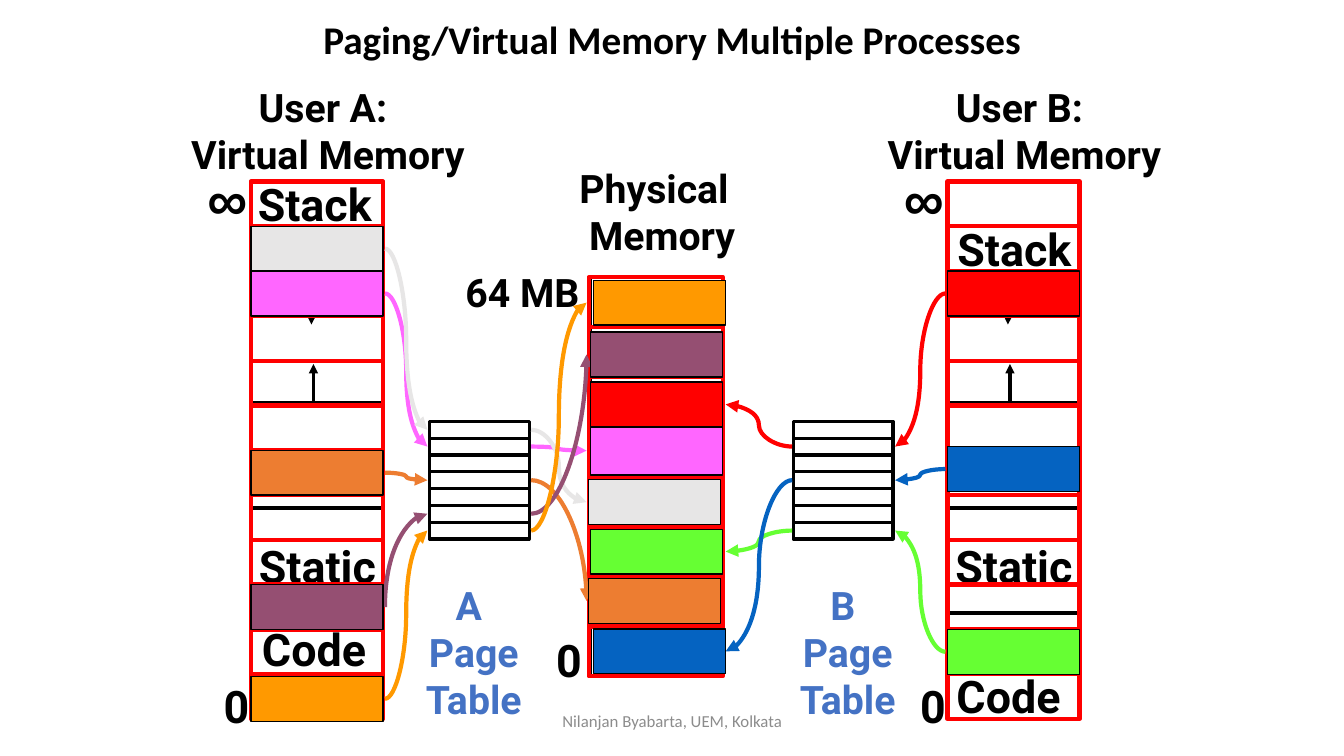
from lxml import etree
from pptx import Presentation
from pptx.dml.color import RGBColor
from pptx.enum.shapes import MSO_CONNECTOR, MSO_SHAPE
from pptx.enum.text import MSO_ANCHOR, MSO_AUTO_SIZE, PP_ALIGN
from pptx.oxml.ns import qn
from pptx.util import Pt

RECTANGLE = MSO_SHAPE.RECTANGLE
STRAIGHT, CURVE = MSO_CONNECTOR.STRAIGHT, MSO_CONNECTOR.CURVE
LEFT, CENTER = PP_ALIGN.LEFT, PP_ALIGN.CENTER
TOP, MIDDLE = MSO_ANCHOR.TOP, MSO_ANCHOR.MIDDLE
FIT_SHAPE = MSO_AUTO_SIZE.SHAPE_TO_FIT_TEXT

BLACK, RED, LABEL_BLUE, GREY = "000000", "FF0000", "4472C4", "8C8C8C"

# Virtual memory columns
USER_A_X, USER_B_X = 179.3, 676.8
VIRTUAL_TOP, SLOT_W, SLOT_H, SLOT_COUNT = 129.6, 94.3, 32, 12
SEGMENT_H = 75.6
SEGMENT_TOPS = [VIRTUAL_TOP, 287.3, 362.3, 437.6]

# Page tables
TABLE_A_X, TABLE_B_X = 306.7, 566.6
TABLE_TOP, ENTRY_W, ENTRY_H, ENTRY_COUNT = 301, 71.3, 12, 7

# Physical memory
PHYSICAL_X, PHYSICAL_TOP = 420.5, 198
FRAME_W, FRAME_H, FRAME_COUNT = 95.8, 35.64, 8

# Ends of the mapping arrows: page, table (in), table (out), frame
PATH_A = (275, 305.3, 379.4, 419)
PATH_B = (675.4, 639.4, 565.9, 518.4)

# Colour, virtual slot, table entry, frame left, frame top, frame height, bends
PAGES_A = [
    ("FF66FF", 2, 1, 421.9, 304.6, 34.6, ""),
    ("E7E6E6", 1, 0, 420.5, 342.7, SLOT_H, ""),
    ("ED7D31", 6, 3, 420.5, 413.3, SLOT_H, "out"),
    ("954F72", 9, 5, 421.9, 237.2, SLOT_H, "in out"),
    ("FF9900", 11.05, 6, 424.1, 200.2, SLOT_H, ""),
]
PAGES_B = [
    (RED, 2, 1, 421.9, 272.9, SLOT_H, ""),
    ("66FF33", 10, 6, 421.9, 378, SLOT_H, ""),
    ("0563C1", 5.92, 3, 424.1, 449.3, SLOT_H, ""),
]


def color(hex_code):
    return RGBColor.from_string(hex_code)


class MemorySlide:
    def __init__(self, slide):
        self.shapes = slide.shapes

    def text(self, content, x, y, w, h, *, size=28, font="Roboto", ink=BLACK, bold=True,
             align=LEFT, anchor=TOP, wrap=False, spacing=None):
        """Each item of content is a paragraph; a newline in it is a line break."""
        frame = self.shapes.add_textbox(Pt(x), Pt(y), Pt(w), Pt(h)).text_frame
        frame.word_wrap = wrap
        frame.vertical_anchor = anchor
        if not wrap:
            frame.auto_size = FIT_SHAPE
        for index, words in enumerate(content):
            paragraph = frame.add_paragraph() if index else frame.paragraphs[0]
            paragraph.alignment = align
            paragraph.line_spacing = spacing
            for number, line in enumerate(words.split("\n")):
                if number:
                    paragraph.add_line_break()
                run = paragraph.add_run()
                run.text = line
                run.font.name, run.font.size, run.font.bold = font, Pt(size), bold
                run.font.color.rgb = color(ink)

    def box(self, x, y, w, h, fill=None, line=BLACK, weight=2.25):
        rect = self.shapes.add_shape(RECTANGLE, Pt(x), Pt(y), Pt(w), Pt(h))
        rect.shadow.inherit = False
        if fill:
            rect.fill.solid()
            rect.fill.fore_color.rgb = color(fill)
        else:
            rect.fill.background()
        rect.line.color.rgb = color(line)
        rect.line.width = Pt(weight)

    def stack(self, x, top, w, h, count, **style):
        for index in range(count):
            self.box(x, top + index * h, w, h, **style)

    def arrow(self, x1, y1, x2, y2, ink=BLACK, weight=2.25, kind=STRAIGHT,
              single_bend=False, end="tailEnd"):
        link = self.shapes.add_connector(kind, Pt(x1), Pt(y1), Pt(x2), Pt(y2))
        link.line.color.rgb = color(ink)
        link.line.width = Pt(weight)
        properties = link._element.spPr
        if single_bend:
            properties.find(qn("a:prstGeom")).set("prst", "curvedConnector2")
        etree.SubElement(properties.find(qn("a:ln")), qn("a:" + end), type="triangle")
        etree.SubElement(properties, qn("a:effectLst"))

    def virtual_memory(self, user, x, stack_x, stack_y, code_x, code_y):
        self.text([f"User {user}: \nVirtual Memory"], x - 53.5, 56.2, 216.7, 74.2, align=CENTER)
        self.text(["∞"], x - 38.2, 113.8, 43.2, 55.4, size=40, font="Arial")
        self.text(["0"], x - 26.6, 481, 32.4, 45.4, size=32)
        for name, label_x, y, w in (("Code", code_x, code_y, 94.3),
                                    ("Static", x - 1.4, 381.6, 101.5),
                                    ("Stack", stack_x, stack_y, 100)):
            self.text([name], label_x, y, w, 45.4, size=32)
        for top in SEGMENT_TOPS:
            self.box(x, top, SLOT_W, SEGMENT_H)
        self.arrow(x + 44.6, 287.3, x + 44.6, 260)
        self.arrow(x + 43.2, 205.2, x + 43.2, 231.8)
        self.stack(x, VIRTUAL_TOP, SLOT_W, SLOT_H, SLOT_COUNT, line=RED, weight=3)

    def page_table(self, user, x, label_x):
        self.stack(x, TABLE_TOP, ENTRY_W, ENTRY_H, ENTRY_COUNT)
        self.text([user + " ", "Page", "Table"], label_x, 411.8, 87.8, 108,
                  ink=LABEL_BLUE, align=CENTER)

    def mapped_page(self, virtual_x, path, page):
        """Draw a page in virtual and physical memory, with the arrows between."""
        ink, slot, entry, frame_x, frame_y, frame_h, bends = page
        page_x, table_in, table_out, physical_x = path
        page_y = VIRTUAL_TOP + slot * SLOT_H
        page_mid = page_y + SLOT_H / 2
        entry_mid = TABLE_TOP + (entry + 0.5) * ENTRY_H
        style = {"ink": ink, "weight": 3, "kind": CURVE}
        if "in" in bends:
            self.arrow(table_in, entry_mid, page_x, page_mid, single_bend=True,
                       end="headEnd", **style)
        else:
            self.arrow(page_x, page_mid, table_in, entry_mid, **style)
        self.arrow(table_out, entry_mid, physical_x, frame_y + frame_h / 2,
                   single_bend="out" in bends, **style)
        self.box(virtual_x, page_y, SLOT_W, SLOT_H, fill=ink, weight=1)
        self.box(frame_x, frame_y, SLOT_W, frame_h, fill=ink, weight=1)


def main():
    deck = Presentation()
    deck.slide_width, deck.slide_height = Pt(960), Pt(540)
    memory = MemorySlide(deck.slides.add_slide(deck.slide_layouts[6]))

    memory.text(["Paging/Virtual Memory Multiple Processes"], 223.9, 10.8, 655.2, 37.4,
                font="Calibri", anchor=MIDDLE, wrap=True, spacing=0.9)
    memory.box(421.9, PHYSICAL_TOP, SLOT_W, FRAME_COUNT * FRAME_H)
    memory.virtual_memory("B", USER_B_X, 676.8, 154.8, 676.1, 473.8)
    memory.virtual_memory("A", USER_A_X, 177.1, 122.4, 180, 440.6)
    memory.page_table("A", TABLE_A_X, 294.5)
    memory.page_table("B", TABLE_B_X, 561.6)
    memory.stack(PHYSICAL_X, PHYSICAL_TOP, FRAME_W, FRAME_H, FRAME_COUNT, line=RED, weight=3)

    for page in PAGES_A:
        memory.mapped_page(USER_A_X, PATH_A, page)
    memory.text(["0"], 390.2, 448.6, 32.4, 45.4, size=32)
    memory.text(["Physical", " Memory"], 406.8, 113.8, 131, 74.9)
    memory.text(["64 MB"], 325.4, 187.9, 97.9, 41)
    for page in PAGES_B:
        memory.mapped_page(USER_B_X, PATH_B, page)

    memory.text(["Nilanjan Byabarta, UEM, Kolkata"], 318.2, 500.4, 324, 28.8, size=12,
                font="Calibri", ink=GREY, bold=False, align=CENTER, anchor=MIDDLE, wrap=True)
    deck.save("out.pptx")


if __name__ == "__main__":
    main()
